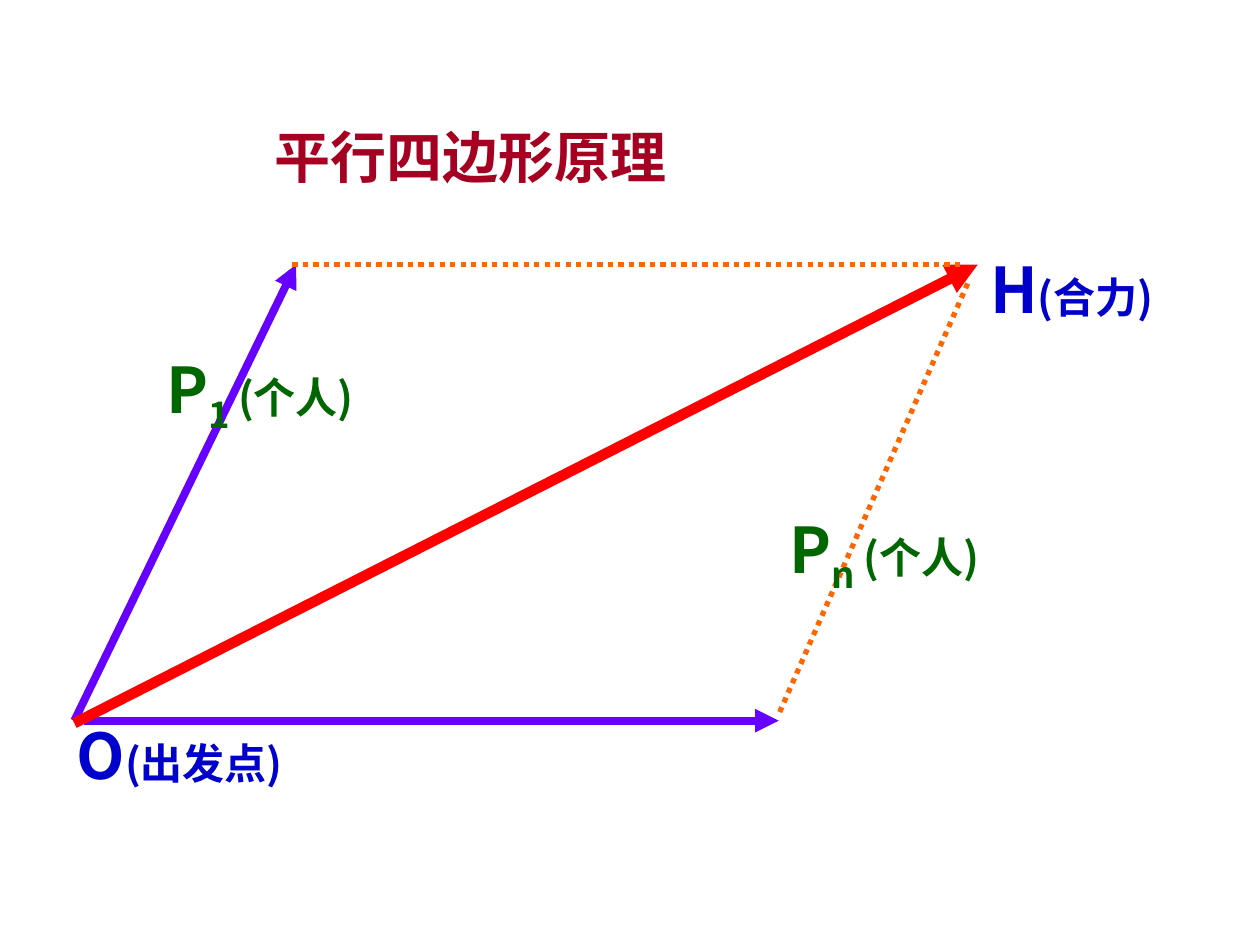
import pptx
import pptx.util
import pptx.dml.color
import pptx.enum.dml
import pptx.enum.shapes
import pptx.enum.text
import pptx.oxml
import pptx.oxml.ns

Inches = pptx.util.Inches
SANS = "Noto Sans CJK SC"
HUES = {
    "title": "A50021",
    "force": "6600FF",
    "sum": "FF0000",
    "guide": "FF6600",
    "part": "006600",
    "point": "0000CC",
}


def hue(key):
    return pptx.dml.color.RGBColor.from_string(HUES[key])


def add_tag(node, tag, **attrs):
    child = pptx.oxml.ns.qn(tag)
    item = node.makeelement(child, attrs)
    node.append(item)


def style(run, size, key, face=SANS):
    font = run.font
    font.size = pptx.util.Pt(size)
    font.bold = True
    font.color.rgb = hue(key)
    font.name = face
    add_tag(run._r.get_or_add_rPr(), "a:ea", typeface=SANS)


def set_frame(frame):
    frame.word_wrap = True
    frame.auto_size = pptx.enum.text.MSO_AUTO_SIZE.NONE
    frame.vertical_anchor = pptx.enum.text.MSO_ANCHOR.TOP


def add_title(slide, text, left, top, width, height):
    title = slide.shapes.title
    title.left, title.top = Inches(left), Inches(top)
    title.width, title.height = Inches(width), Inches(height)
    frame = title.text_frame
    frame.text = text
    set_frame(frame)
    line = frame.paragraphs[0]
    line.alignment = pptx.enum.text.PP_ALIGN.LEFT
    style(line.runs[0], 32, "title", "Times New Roman")


def add_line(slide, start, end, key, width, arrow=True):
    line = slide.shapes.add_connector(
        pptx.enum.shapes.MSO_CONNECTOR.STRAIGHT,
        *map(Inches, start + end))
    line.line.color.rgb = hue(key)
    line.line.width = pptx.util.Pt(width)
    if arrow:
        add_tag(line.line._get_or_add_ln(), "a:tailEnd", type="triangle")
    else:
        line.line.dash_style = pptx.enum.dml.MSO_LINE.ROUND_DOT
    add_tag(line._element.spPr, "a:effectLst")


def add_label(slide, name, sub, note, key, left, top, width, height):
    box = slide.shapes.add_textbox(*map(Inches, (left, top, width, height)))
    set_frame(box.text_frame)
    line = box.text_frame.paragraphs[0]
    for text, size in ((name, 36), (sub, 36), (note, 24)):
        if not text:
            continue
        run = line.add_run()
        run.text = text
        style(run, size, key)
        if text == sub:
            run._r.get_or_add_rPr().set("baseline", "-25000")


def main():
    deck = pptx.Presentation()
    deck.slide_width, deck.slide_height = Inches(10), Inches(7.5)
    slide = deck.slides.add_slide(deck.slide_layouts[5])

    add_title(slide, "平行四边形原理", 2.08, 0.92, 3.83, 0.64)

    add_line(slide, (0.67, 5.72), (6.18, 5.72), "force", 4.5)
    add_line(slide, (0.59, 5.72), (2.35, 2.1), "force", 4.5)
    add_line(slide, (0.59, 5.74), (7.76, 2.1), "sum", 6)
    add_line(slide, (2.32, 2.1), (7.66, 2.1), "guide", 3, arrow=False)
    add_line(slide, (7.68, 2.25), (6.18, 5.67), "guide", 3, arrow=False)

    add_label(slide, "P", "n ", "(个人)", "part", 6.17, 4, 2.08, 0.79)
    add_label(slide, "P", "1 ", "(个人)", "part", 1.22, 2.73, 1.92, 0.79)
    add_label(slide, "O", "", "(出发点)", "point", 0.51, 5.64, 2, 0.7)
    add_label(slide, "H", "", "(合力)", "point", 7.76, 1.94, 1.75, 0.7)

    deck.save("out.pptx")


if __name__ == "__main__":
    main()
